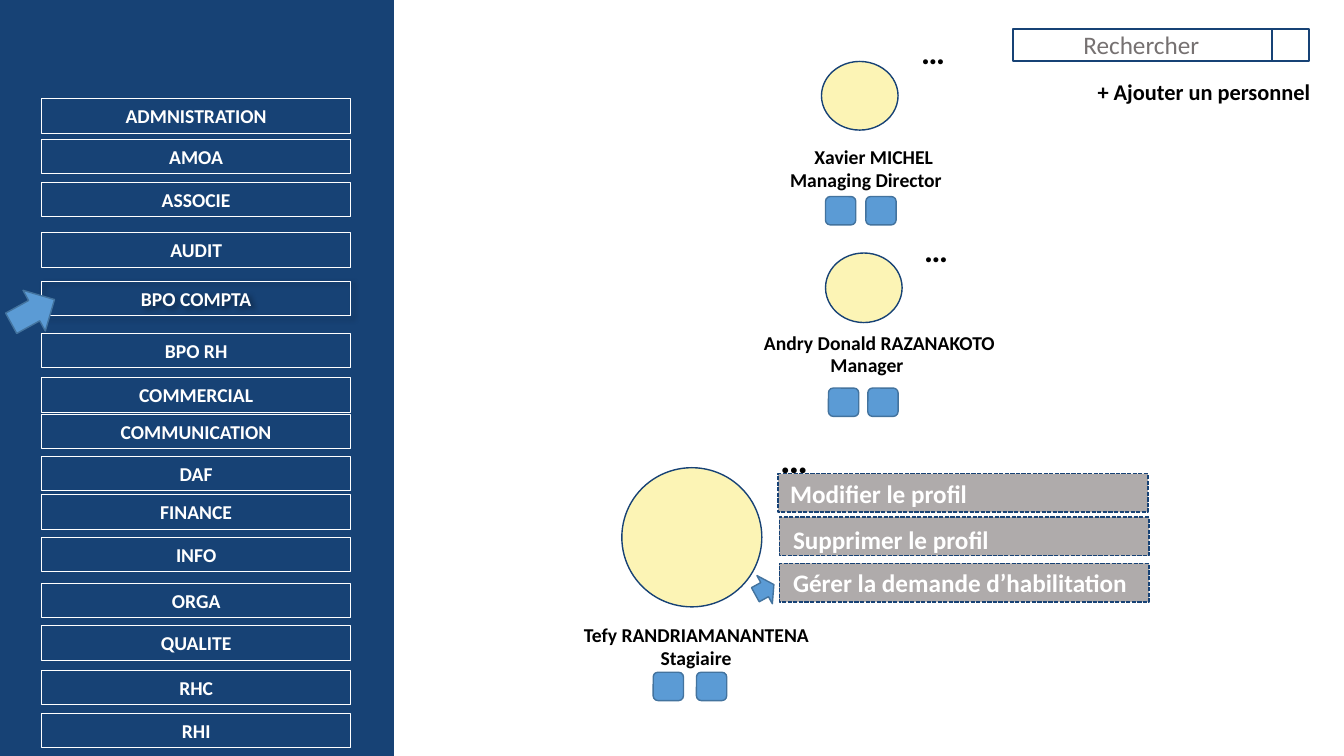
"""Builds a staff directory slide with a department menu and profile cards."""
import lxml.etree
import pptx
import pptx.dml.color
import pptx.enum.dml
import pptx.enum.shapes
import pptx.enum.text
import pptx.oxml.ns
import pptx.util

Pt = pptx.util.Pt
RGBColor = pptx.dml.color.RGBColor
SHAPE = pptx.enum.shapes.MSO_SHAPE
ALIGN = pptx.enum.text.PP_ALIGN

NAVY = RGBColor(0x17, 0x42, 0x75)
BLUE = RGBColor(0x5B, 0x9B, 0xD5)
BLUE_EDGE = RGBColor(0x43, 0x73, 0x9E)
CREAM = RGBColor(0xFC, 0xF4, 0xB5)
GREY = RGBColor(0xAF, 0xAB, 0xAB)
HINT = RGBColor(0x76, 0x71, 0x71)
WHITE = RGBColor(0xFF, 0xFF, 0xFF)
BLACK = RGBColor(0x00, 0x00, 0x00)

FONT = "Calibri"
ACTIVE_DEPARTMENT = "BPO COMPTA"
DEPARTMENTS = [
    ("ADMNISTRATION", 70.6), ("AMOA", 99.4), ("ASSOCIE", 130.3),
    ("AUDIT", 166.3), (ACTIVE_DEPARTMENT, 200.9), ("BPO RH", 238.3),
    ("COMMERCIAL", 270), ("COMMUNICATION", 295.9), ("DAF", 326.2),
    ("FINANCE", 353.5), ("INFO", 383.8), ("ORGA", 416.9),
    ("QUALITE", 447.1), ("RHC", 478.8), ("RHI", 509.8),
]
PEOPLE = [
    dict(photo=(586.8, 43.9, 54.7, 49), dots=(650.9, 18.7, 24),
         name=("Xavier MICHEL", 574.6, 100.1, 217.4),
         role=("Managing Director", 557.3, 116.6, 134.6),
         badges=(589.7, 618.5, 140.4), align=ALIGN.LEFT),
    dict(photo=(589.7, 180.7, 54.7, 49.7), dots=(653, 159.8, 24),
         name=("Andry Donald RAZANAKOTO", 538.6, 232.6, 217.4),
         role=("Manager", 586.1, 248.4, 134.6),
         badges=(591.8, 619.9, 277.2), align=ALIGN.LEFT),
    dict(photo=(444.2, 334.1, 100, 99.4), dots=(550.1, 306.7, 28),
         name=("Tefy RANDRIAMANANTENA", 396.7, 441.4, 201.6),
         role=("Stagiaire", 417.6, 457.9, 159.1),
         badges=(466.6, 497.5, 480.2), align=ALIGN.CENTER),
]
ACTIONS = [
    ("Modifier le profil", 555.8, 338.4, 557.3, 338.4),
    ("Supprimer le profil", 556.6, 369.4, 559.4, 370.8),
    ("Gérer la demande d’habilitation", 556.6, 402.5, 559.4, 401.8),
]


def add_figure(page, kind, area, fill, edge, weight=1):
    """Add a preset shape without shadow; a fill of None leaves it hollow."""
    figure = page.shapes.add_shape(kind, *map(Pt, area))
    figure.shadow.inherit = False
    if fill is None:
        figure.fill.background()
    else:
        figure.fill.solid()
        figure.fill.fore_color.rgb = fill
    figure.line.color.rgb = edge
    figure.line.width = Pt(weight)
    return figure


def write(box, text, size, color, bold=True, align=ALIGN.LEFT):
    """Put one styled paragraph into a shape or text box."""
    box.text_frame.word_wrap = True
    para = box.text_frame.paragraphs[0]
    para.text = text
    para.alignment = align
    para.font.name = FONT
    para.font.size = Pt(size)
    para.font.bold = bold
    para.font.color.rgb = color


def add_label(page, text, left, top, width, size=14, color=BLACK, **style):
    """Add a text box one line high."""
    height = size * 1.2 + 7.2
    box = page.shapes.add_textbox(Pt(left), Pt(top), Pt(width), Pt(height))
    write(box, text, size, color, **style)


def add_soft_shadow(figure):
    """Give the shape a soft shadow towards the lower right."""
    qn = pptx.oxml.ns.qn
    effects = figure._element.spPr.find(qn("a:effectLst"))
    shadow = lxml.etree.SubElement(
        effects, qn("a:outerShdw"), blurRad=str(Pt(4)), dist=str(Pt(3)),
        dir="2700000", algn="tl", rotWithShape="0")
    tint = lxml.etree.SubElement(shadow, qn("a:srgbClr"), val=str(BLACK))
    lxml.etree.SubElement(tint, qn("a:alpha"), val="40000")


def add_department(page, title, top):
    """Add one outlined entry of the side menu."""
    entry = add_figure(page, SHAPE.RECTANGLE, (30, top, 220.3, 24.5), None, WHITE, 0.75)
    write(entry, title, 14, WHITE, align=ALIGN.CENTER)
    if title == ACTIVE_DEPARTMENT:
        add_soft_shadow(entry)


def add_pointer(page, area):
    """Add a block arrow tilted upwards."""
    pointer = add_figure(page, SHAPE.RIGHT_ARROW, area, BLUE, BLUE_EDGE)
    pointer.rotation = 331.3


def add_person(page, photo, dots, name, role, badges, align):
    """Add a profile: photo disc, name, role, two badges and menu dots."""
    add_figure(page, SHAPE.OVAL, photo, CREAM, NAVY)
    for line in (name, role):
        add_label(page, *line, align=align)
    *lefts, top = badges
    for left in lefts:
        add_figure(page, SHAPE.ROUNDED_RECTANGLE, (left, top, 21.6, 20.2), BLUE, BLUE_EDGE)
    left, top, size = dots
    add_label(page, "…", left, top, 48.2, size)


def add_action(page, title, left, top, text_left, text_top):
    """Add one dashed entry of the profile menu."""
    bar = add_figure(page, SHAPE.RECTANGLE, (left, top, 264.2, 27.4), GREY, NAVY)
    bar.line.dash_style = pptx.enum.dml.MSO_LINE.SQUARE_DOT
    add_label(page, title, text_left, text_top, 264.2, 18, WHITE)


def add_search(page):
    """Add the search field with its button and the add link."""
    for left, width in ((723.6, 185), (908.6, 26.6)):
        add_figure(page, SHAPE.RECTANGLE, (left, 20.6, width, 23), None, NAVY)
    add_label(page, "Rechercher", 766.8, 17.3, 134.6, 18, HINT, bold=False)
    add_label(page, "+ Ajouter un personnel", 776.9, 52.6, 202.3, 16)


def main():
    """Build and save the slide."""
    deck = pptx.Presentation()
    deck.slide_width, deck.slide_height = Pt(960), Pt(540)
    page = deck.slides.add_slide(deck.slide_layouts[6])
    add_figure(page, SHAPE.RECTANGLE, (0, 0, 281, 540), NAVY, NAVY)
    for title, top in DEPARTMENTS:
        add_department(page, title, top)
    add_search(page)
    add_pointer(page, (5.8, 205.9, 35.3, 33.1))
    for person in PEOPLE:
        add_person(page, **person)
    add_pointer(page, (538.6, 409.7, 15.1, 23))
    for action in ACTIONS:
        add_action(page, *action)
    deck.save("out.pptx")


main()
